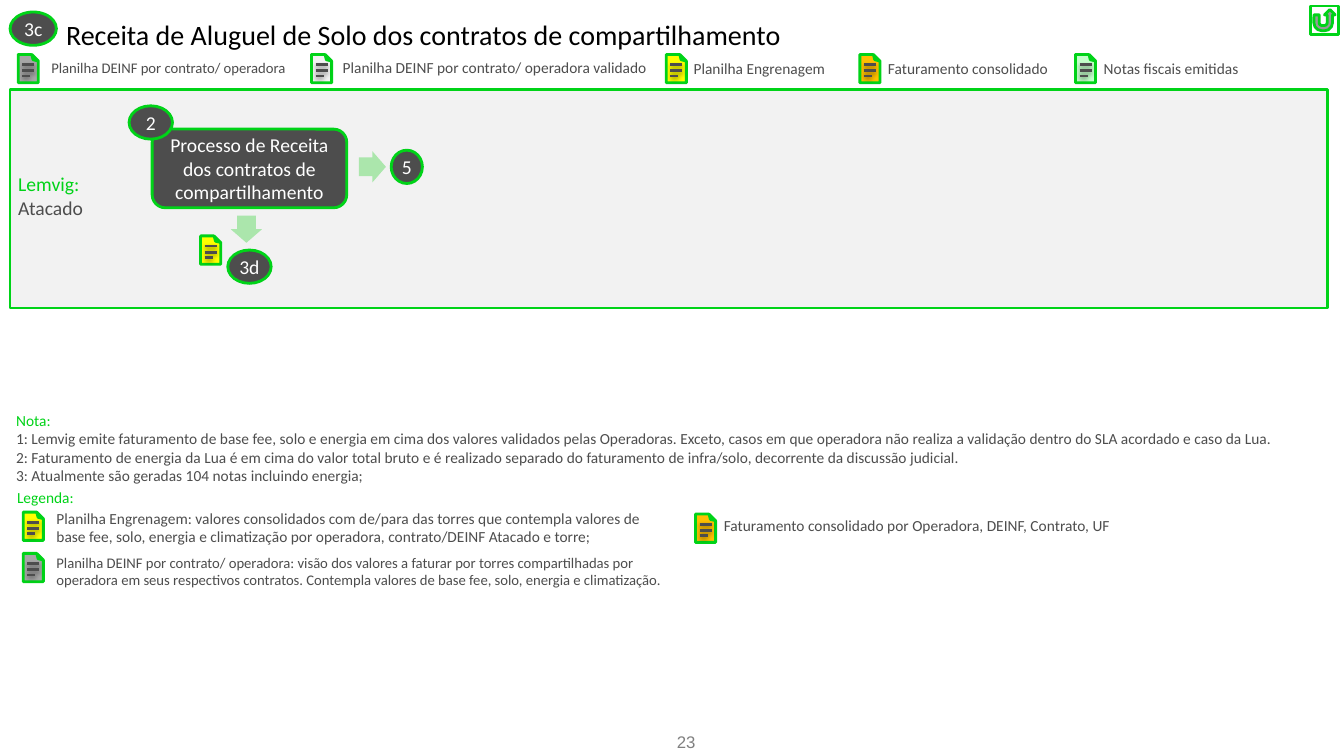
from dataclasses import dataclass

from lxml import etree
from pptx import Presentation
from pptx.dml.color import RGBColor
from pptx.enum import shapes, text
from pptx.oxml import ns
from pptx.util import Pt

GREEN = RGBColor(0x00, 0xD3, 0x18)
PALE_GREEN = RGBColor(0xAB, 0xE6, 0xAC)
MINT = RGBColor(0xC3, 0xFF, 0xCA)
DARK = RGBColor(0x4D, 0x4D, 0x4D)
GREY = RGBColor(0x80, 0x80, 0x80)
SILVER = RGBColor(0xA6, 0xA6, 0xA6)
LIGHT = RGBColor(0xF2, 0xF2, 0xF2)
YELLOW = RGBColor(0xFF, 0xFF, 0x00)
ORANGE = RGBColor(0xFF, 0xC0, 0x00)
WHITE = RGBColor(0xFF, 0xFF, 0xFF)
BLACK = RGBColor(0x00, 0x00, 0x00)

OUTLINE = 2
SHEET_WIDTH, SHEET_HEIGHT = 14.4, 20.2
SHEET_LINES = ((7.2, 11.6), (11.6, 11.6), (15.4, 8.7))  # height on the sheet, right end
SHAPE = shapes.MSO_SHAPE


@dataclass
class Label:
    left: float
    top: float
    width: float
    height: float
    lines: tuple[str, ...]
    size: float = 11
    color: RGBColor = DARK
    heading_color: RGBColor | None = None
    font: str = "Calibri"
    align: text.PP_ALIGN = text.PP_ALIGN.LEFT


@dataclass
class Sheet:
    left: float
    top: float
    color: RGBColor


@dataclass
class Block:
    kind: shapes.MSO_SHAPE
    left: float
    top: float
    width: float
    height: float
    fill: RGBColor = DARK
    line: RGBColor | None = GREEN
    caption: str = ""
    rotation: float = 0
    adjustments: tuple[tuple[str, int], ...] = ()


ARROW_FORM = (("adj1", 60000), ("adj2", 50000))
FOLD_FORM = (("adj", 32500),)

BLOCKS = [
    Block(SHAPE.RECTANGLE, 7.2, 63.7, 941, 156.3, LIGHT),
    Block(SHAPE.OVAL, 7.2, 8.6, 33.1, 23.8, caption="3c"),
    Block(SHAPE.RIGHT_ARROW, 166.3, 152.6, 19.4, 22.3, PALE_GREEN, None,
          rotation=90, adjustments=ARROW_FORM),
    Block(SHAPE.OVAL, 162.7, 178.6, 31, 23.8, caption="3d"),
    Block(SHAPE.ROUNDED_RECTANGLE, 108.7, 92.2, 139, 56.2,
          caption="Processo de Receita dos contratos de compartilhamento"),
    Block(SHAPE.OVAL, 92.2, 75.6, 31, 23.8, caption="2"),
    Block(SHAPE.RIGHT_ARROW, 256.3, 108, 19.4, 22.3, PALE_GREEN, None,
          adjustments=ARROW_FORM),
    Block(SHAPE.OVAL, 279.4, 107.3, 22.3, 23.8, caption="5"),
    Block(SHAPE.ACTION_BUTTON_RETURN, 936, 4.3, 20.2, 20.2, WHITE),
]

KEY_TOP = 38.9
SHEETS = [
    Sheet(13, KEY_TOP, SILVER),
    Sheet(222.5, KEY_TOP, LIGHT),
    Sheet(475.9, KEY_TOP, YELLOW),
    Sheet(614.2, KEY_TOP, ORANGE),
    Sheet(768.2, KEY_TOP, MINT),
    Sheet(143.3, 168.5, YELLOW),
    Sheet(16.6, 365.8, YELLOW),
    Sheet(16.6, 395.3, SILVER),
    Sheet(496.8, 367.2, ORANGE),
]

LABELS = [
    Label(47.2, 12.2, 800, 26,
          ("Receita de Aluguel de Solo dos contratos de compartilhamento",), 20, BLACK),
    Label(36.7, 42.3, 185, 13, ("Planilha DEINF por contrato/ operadora",), 10.5),
    Label(244.8, 41.8, 230, 13.7, ("Planilha DEINF por contrato/ operadora validado",)),
    Label(495.4, 42.1, 118, 13.7, ("Planilha Engrenagem",)),
    Label(634.3, 42.1, 130, 13.7, ("Faturamento consolidado",)),
    Label(788.4, 42.3, 130, 13.7, ("Notas fiscais emitidas",)),
    Label(13, 123.1, 60, 51, ("Lemvig:", "Atacado"), 14, heading_color=GREEN),
    Label(11.5, 293.4, 945, 53.3, (
        "Nota:",
        "1: Lemvig emite faturamento de base fee, solo e energia em cima dos valores validados "
        "pelas Operadoras. Exceto, casos em que operadora não realiza a validação dentro do SLA "
        "acordado e caso da Lua.",
        "2: Faturamento de energia da Lua é em cima do valor total bruto e é realizado separado "
        "do faturamento de infra/solo, decorrente da discussão judicial.",
        "3: Atualmente são geradas 104 notas incluindo energia;",
    ), heading_color=GREEN),
    Label(12.2, 348.5, 200, 13.7, ("Legenda:",), color=GREEN),
    Label(40.3, 363.6, 433.4, 26.6, (
        "Planilha Engrenagem: valores consolidados com de/para das torres que contempla valores "
        "de base fee, solo, energia e climatização por operadora, contrato/DEINF Atacado e torre;",
    )),
    Label(40.3, 395.3, 433.4, 26.6, (
        "Planilha DEINF por contrato/ operadora: visão dos valores a faturar por torres "
        "compartilhadas por operadora em seus respectivos contratos. Contempla valores de base "
        "fee, solo, energia e climatização.",
    ), 10.5),
    Label(517, 368.6, 300, 13.7,
          ("Faturamento consolidado por Operadora, DEINF, Contrato, UF",)),
    Label(475.2, 523, 21.6, 14, ("23",), 12, GREY, font="Arial", align=text.PP_ALIGN.RIGHT),
]


def fill_text(frame, lines: tuple[str, ...], size: float, color: RGBColor,
              heading_color: RGBColor | None, font: str, align: text.PP_ALIGN) -> None:
    """Write the lines without margins; the first may have its own colour."""
    frame.margin_left = frame.margin_right = frame.margin_top = frame.margin_bottom = 0
    frame.word_wrap = True
    frame.text = "\n".join(lines)
    for index, paragraph in enumerate(frame.paragraphs):
        paragraph.alignment = align
        for run in paragraph.runs:
            run.font.size = Pt(size)
            run.font.name = font
            run.font.color.rgb = heading_color if heading_color and index == 0 else color


def draw_label(slide, label: Label) -> None:
    box = slide.shapes.add_textbox(Pt(label.left), Pt(label.top),
                                   Pt(label.width), Pt(label.height))
    fill_text(box.text_frame, label.lines, label.size, label.color,
              label.heading_color, label.font, label.align)


def set_adjustments(shape, adjustments: tuple[tuple[str, int], ...]) -> None:
    guides = shape.element.find(".//" + ns.qn("a:avLst"))
    for guide in list(guides):
        guides.remove(guide)
    for name, value in adjustments:
        etree.SubElement(guides, ns.qn("a:gd"), name=name, fmla=f"val {value}")


def draw_block(container, block: Block) -> None:
    shape = container.shapes.add_shape(block.kind, Pt(block.left), Pt(block.top),
                                       Pt(block.width), Pt(block.height))
    shape.shadow.inherit = False
    shape.rotation = block.rotation
    if block.adjustments:
        set_adjustments(shape, block.adjustments)
    shape.fill.solid()
    shape.fill.fore_color.rgb = block.fill
    if block.line is None:
        shape.line.fill.background()
    else:
        shape.line.color.rgb = block.line
        shape.line.width = Pt(OUTLINE)
    if block.caption:
        fill_text(shape.text_frame, (block.caption,), 14, WHITE, None,
                  "Calibri", text.PP_ALIGN.CENTER)
        shape.text_frame.vertical_anchor = text.MSO_ANCHOR.MIDDLE


def add_soft_shadow(connector) -> None:
    properties = connector.element.find(ns.qn("p:spPr"))
    effects = etree.SubElement(properties, ns.qn("a:effectLst"))
    shadow = etree.SubElement(effects, ns.qn("a:outerShdw"), blurRad=str(int(Pt(3))),
                              dist=str(int(Pt(1.6))), dir="5400000", rotWithShape="0")
    color = etree.SubElement(shadow, ns.qn("a:srgbClr"), val=str(BLACK))
    etree.SubElement(color, ns.qn("a:alpha"), val="38000")


def draw_sheet(slide, sheet: Sheet) -> None:
    """Draw a page with a folded top right corner and three lines of writing."""
    group = slide.shapes.add_group_shape()
    inset = (SHEET_HEIGHT - SHEET_WIDTH) / 2  # the page is a lying shape turned upright
    draw_block(group, Block(SHAPE.FOLDED_CORNER, sheet.left - inset, sheet.top + inset,
                            SHEET_HEIGHT, SHEET_WIDTH, sheet.color,
                            rotation=270, adjustments=FOLD_FORM))
    for height, right in SHEET_LINES:
        y = Pt(sheet.top + height)
        connector = group.shapes.add_connector(shapes.MSO_CONNECTOR.STRAIGHT,
                                               Pt(sheet.left + 2.9), y,
                                               Pt(sheet.left + right), y)
        connector.line.color.rgb = DARK
        connector.line.width = Pt(OUTLINE)
        add_soft_shadow(connector)


def main() -> None:
    presentation = Presentation()
    presentation.slide_width, presentation.slide_height = Pt(960), Pt(540)
    slide = presentation.slides.add_slide(presentation.slide_layouts[6])
    for block in BLOCKS:
        draw_block(slide, block)
    for sheet in SHEETS:
        draw_sheet(slide, sheet)
    for label in LABELS:
        draw_label(slide, label)
    presentation.save("out.pptx")


if __name__ == "__main__":
    main()
